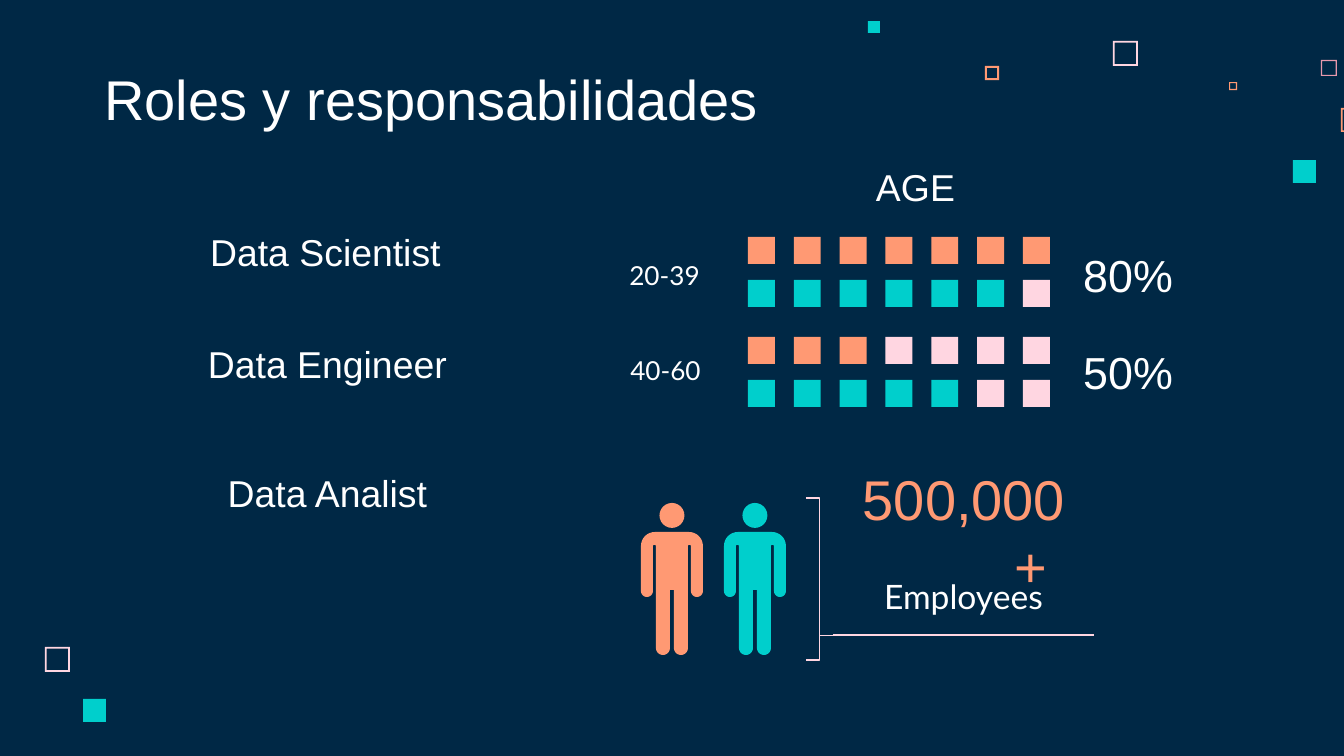
import math

from lxml import etree
from pptx import Presentation, util as u
from pptx.dml.color import RGBColor
from pptx.enum import shapes, text
from pptx.oxml.ns import qn

EMU_PER_PX = 914400 / 134.4
COLORS = {"navy": "002845", "white": "FFFFFF", "coral": "FF9973",
          "teal": "00CFCC", "pink": "FFD6E1", "rose": "E898AC"}

# Decoration: left, top, size, colour
HOLLOW_SQUARES = [(1113, 41, 25, "pink"), (1321, 60, 16, "rose"), (1229, 82, 8, "coral"),
                  (1341, 108, 24, "coral"), (985, 66, 14, "coral"), (45, 647, 25, "pink")]
SOLID_SQUARES = [(1293, 160, 23, "teal"), (868, 21, 12, "teal"), (83, 699, 23, "teal")]

# Text: wording, left, top, width, height, size, font, colour, alignment, anchor
LABELS = [
    ("Roles y responsabilidades", 91, 60, 695, 85, 30, "Arial", "white", "LEFT", "BOTTOM"),
    ("20-39", 536, 246, 177, 58, 14, "Lato", "white", "RIGHT", "MIDDLE"),
    ("40-60", 590, 341, 124, 58, 14, "Lato", "white", "RIGHT", "MIDDLE"),
    ("80%", 1070, 246, 177, 58, 24, "Arial", "white", "LEFT", "MIDDLE"),
    ("50%", 1070, 343, 124, 58, 24, "Arial", "white", "LEFT", "MIDDLE"),
    ("500,000+", 847, 503, 234, 58, 30, "Arial", "coral", "CENTER", "MIDDLE"),
    ("Employees", 835, 563, 257, 58, 18, "Lato", "white", "CENTER", "TOP"),
    ("Data Scientist", 187, 216, 277, 58, 20, "Arial", "white", "CENTER", "TOP"),
    ("AGE", 777, 151, 277, 58, 20, "Arial", "white", "CENTER", "TOP"),
    ("Data Engineer", 189, 328, 277, 58, 20, "Arial", "white", "CENTER", "TOP"),
    ("Data Analist", 189, 457, 277, 58, 20, "Arial", "white", "CENTER", "TOP"),
]
HANGING = {"500,000+": 134}

# Age tally: top, colour, filled squares out of seven
TALLY_ROWS = [(237, "coral", 7), (280, "teal", 6), (337, "coral", 3), (380, "teal", 5)]
TALLY_COUNT, TALLY_LEFT, TALLY_LAST, TALLY_SIZE = 7, 748, 1023, 27

# People: left and colour; half of the body as corners x, y, radius
PEOPLE = [(724, "teal"), (641, "coral")]
HEAD_TOP, HEAD_SIZE, BODY_TOP, BODY_WIDTH = 503, 25, 532, 62
HALF_BODY = [(0, 0, 14), (0, 65, 6), (12, 65, 6), (12, 13, 1),
             (15, 13, 1), (15, 123, 7), (29, 123, 7), (29, 58, 0)]


def px(value):
    return u.Emu(round(value * EMU_PER_PX))


def rgb(name):
    return RGBColor.from_string(COLORS[name])


def paint(shape, color):
    shape.shadow.inherit = False
    shape.fill.solid()
    shape.fill.fore_color.rgb = rgb(color)
    shape.line.fill.background()


def add_solid(parent, kind, left, top, size, color):
    solid = parent.add_shape(kind, px(left), px(top), px(size), px(size))
    paint(solid, color)
    return solid


def add_label(parent, wording, left, top, width, height, size, font, color, align, anchor):
    label = parent.add_textbox(px(left), px(top), px(width), px(height))
    frame = label.text_frame
    frame.word_wrap = True
    frame.vertical_anchor = getattr(text.MSO_ANCHOR, anchor)
    frame.margin_left = frame.margin_right = px(13.44)
    frame.margin_top = frame.margin_bottom = px(13.44)
    paragraph = frame.paragraphs[0]
    paragraph.alignment = getattr(text.PP_ALIGN, align)
    if wording in HANGING:
        indent = px(HANGING[wording])
        properties = paragraph._p.get_or_add_pPr()
        properties.set("marL", str(indent))
        properties.set("indent", str(-indent))
    run = paragraph.add_run()
    run.text = wording
    run.font.size, run.font.name = u.Pt(size), font
    run.font.color.rgb = rgb(color)


def rounded_outline(corners, steps=8):
    """Points of a right-angled outline whose corners are quarter circles."""
    points = []
    for i, (x, y, radius) in enumerate(corners):
        before, after = corners[i - 1], corners[(i + 1) % len(corners)]
        in_len, out_len = math.dist(before[:2], (x, y)), math.dist((x, y), after[:2])
        in_x, in_y = (x - before[0]) / in_len, (y - before[1]) / in_len
        out_x, out_y = (after[0] - x) / out_len, (after[1] - y) / out_len
        for step in range(steps + 1 if radius else 1):
            angle = math.pi / 2 * step / steps
            into, out = radius * (math.sin(angle) - 1), radius * (1 - math.cos(angle))
            points.append((x + into * in_x + out * out_x, y + into * in_y + out * out_y))
    return points


def add_person(parent, left, color):
    person = parent.add_group_shape().shapes
    mirrored = [(BODY_WIDTH - x, y, radius) for x, y, radius in reversed(HALF_BODY)]
    outline = [(px(left + x), px(BODY_TOP + y))
               for x, y in rounded_outline(HALF_BODY + mirrored)]
    builder = person.build_freeform(*outline[0], scale=1.0)
    builder.add_line_segments(outline[1:], close=True)
    paint(builder.convert_to_shape(), color)
    add_solid(person, shapes.MSO_SHAPE.OVAL, left + (BODY_WIDTH - HEAD_SIZE) / 2,
              HEAD_TOP, HEAD_SIZE, color)


def main():
    deck = Presentation()
    deck.slide_width, deck.slide_height = px(1344), px(756)
    slide = deck.slides.add_slide(deck.slide_layouts[6])
    slide.background.fill.solid()
    slide.background.fill.fore_color.rgb = rgb("navy")
    parts = slide.shapes
    kinds = shapes.MSO_SHAPE

    # Scattered squares
    for left, top, size, color in HOLLOW_SQUARES:
        hollow = add_solid(parts, kinds.FRAME, left, top, size, color)
        hollow.adjustments[0] = 0.07 if size > 14 else 0.13
    for square in SOLID_SQUARES:
        add_solid(parts, kinds.RECTANGLE, *square)

    # Age tally
    pitch = (TALLY_LAST - TALLY_LEFT) / (TALLY_COUNT - 1)
    for top, color, filled in TALLY_ROWS:
        for column in range(TALLY_COUNT):
            add_solid(parts, kinds.RECTANGLE, TALLY_LEFT + column * pitch, top,
                      TALLY_SIZE, color if column < filled else "pink")

    # Employees: people, brace and rule
    for left, color in PEOPLE:
        add_person(parts, left, color)
    brace = parts.add_shape(kinds.RIGHT_BRACE, px(806), px(498), px(27), px(162))
    brace.shadow.inherit = False
    brace.fill.background()
    brace.adjustments[0], brace.adjustments[1] = 0, 0.85
    rule = parts.add_connector(shapes.MSO_CONNECTOR.STRAIGHT,
                               px(833), px(635), px(1094), px(635))
    etree.SubElement(rule._element.spPr, qn("a:effectLst"))
    for stroke in (brace.line, rule.line):
        stroke.color.rgb = rgb("pink")
        stroke.width = u.Pt(0.75)
    # The effect list has to follow the line properties
    rule._element.spPr.append(rule._element.spPr.find(qn("a:effectLst")))

    # Wording
    for label in LABELS:
        add_label(parts, *label)

    deck.save("out.pptx")


if __name__ == "__main__":
    main()
